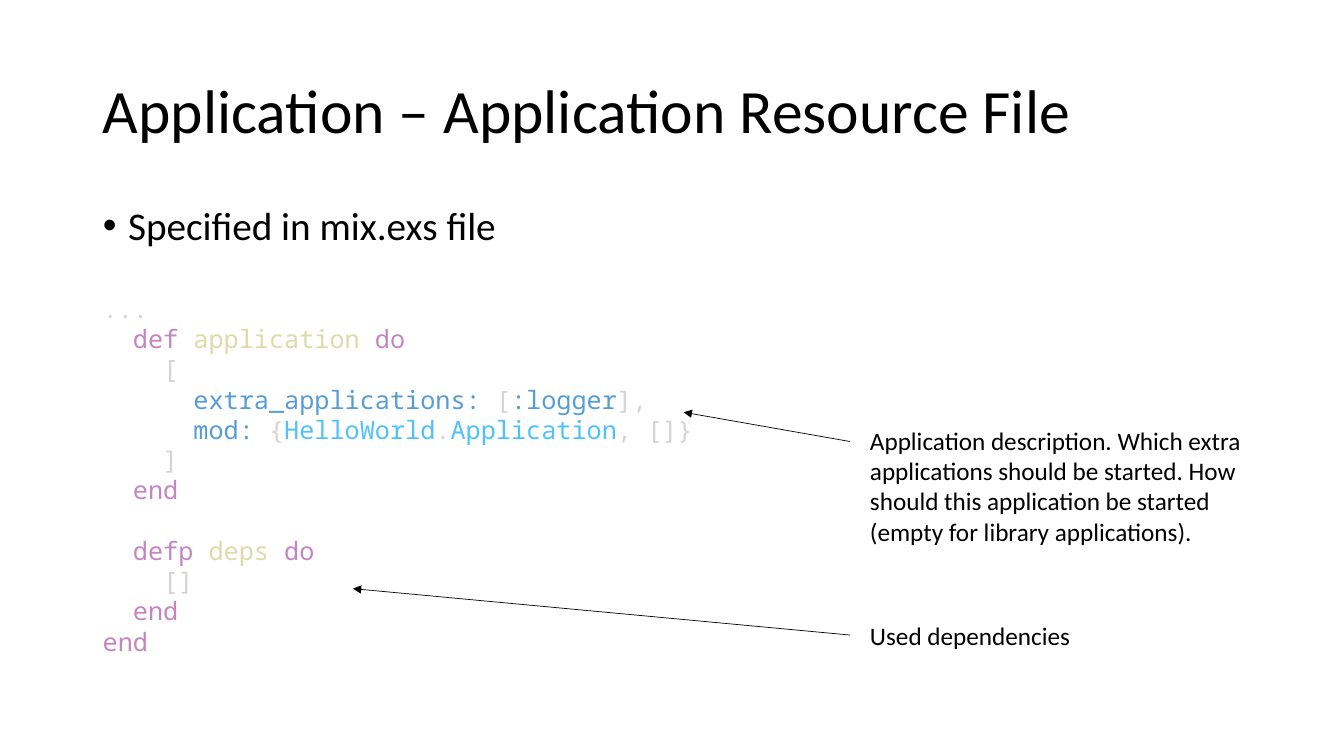
from dataclasses import dataclass

from lxml import etree
from pptx import Presentation
from pptx.dml.color import RGBColor
from pptx.enum.shapes import MSO_CONNECTOR
from pptx.enum.text import MSO_ANCHOR, MSO_AUTO_SIZE, PP_ALIGN
from pptx.oxml.ns import qn
from pptx.util import Inches, Pt

STRAIGHT = MSO_CONNECTOR.STRAIGHT
LEFT = PP_ALIGN.LEFT
TOP, MIDDLE = MSO_ANCHOR.TOP, MSO_ANCHOR.MIDDLE
NO_FIT, GROW = MSO_AUTO_SIZE.NONE, MSO_AUTO_SIZE.SHAPE_TO_FIT_TEXT


@dataclass(frozen=True)
class Theme:
    text_font: str = "Calibri"
    code_font: str = "Noto Sans Mono"
    title_size: float = 44
    body_size: float = 28
    small_size: float = 18
    code_line: float = 21.6
    line_width: float = 0.5
    black: str = "000000"
    plain: str = "D4D4D4"
    keyword: str = "C586C0"
    function: str = "DCDCAA"
    atom: str = "569CD6"
    module: str = "4FC1FF"


THEME = Theme()
INDENT = "  "  # a no-break space and a space
CODE_BOX = (0.92, 2.86, 7.89, 3.74)

# Each line: indent level, then (text, colour) pieces
DEFINE_END = (1, [("end", THEME.keyword)])
APPLICATION_CODE = [
    (0, [("...", THEME.plain)]),
    (1, [("def ", THEME.keyword), ("application ", THEME.function), ("do", THEME.keyword)]),
    (2, [("[", THEME.plain)]),
    (3, [("extra_applications:", THEME.atom), (" [", THEME.plain),
         (":logger", THEME.atom), ("],", THEME.plain)]),
    (3, [("mod:", THEME.atom), (" {", THEME.plain), ("HelloWorld", THEME.module),
         (".", THEME.plain), ("Application", THEME.module), (", []}", THEME.plain)]),
    (2, [("]", THEME.plain)]),
    DEFINE_END,
]
DEPENDENCY_CODE = [
    (1, [("defp ", THEME.keyword), ("deps ", THEME.function), ("do", THEME.keyword)]),
    (2, [("[]", THEME.plain)]),
    DEFINE_END,
    (0, [("end", THEME.keyword)]),
]

# Box of each note, its text, and the ends of its arrow
NOTES = [
    ((8.53, 4.17, 3.89, 1.31),
     "Application description. Which extra applications should be started. "
     "How should this application be started (empty for library applications).",
     (8.43, 4.38), (6.78, 4.09)),
    ((8.53, 6.1, 3.89, 0.4), "Used dependencies", (8.43, 6.3), (3.5, 5.84)),
]


def set_values(target, values):
    for name, value in values.items():
        setattr(target, name, value)


def add_run(paragraph, text, size, font=THEME.text_font, color=THEME.black):
    run = paragraph.add_run()
    run.text = text
    set_values(run.font, {"name": font, "size": Pt(size)})
    run.font.color.rgb = RGBColor.from_string(color)


def fill_placeholder(shape, box, text, size, anchor, spacing):
    places = dict(zip(("left", "top", "width", "height"), map(Inches, box)))
    set_values(shape, places)
    set_values(shape.text_frame, {"auto_size": NO_FIT, "vertical_anchor": anchor})
    paragraph = shape.text_frame.paragraphs[0]
    set_values(paragraph, {"alignment": LEFT, "line_spacing": 0.9, "space_before": Pt(spacing)})
    add_run(paragraph, text, size)
    return paragraph


def add_bullet(paragraph, indent):
    properties = paragraph._p.get_or_add_pPr()
    properties.set("marL", str(indent))
    properties.set("indent", str(-indent))
    etree.SubElement(properties, qn("a:buFont"), typeface="Arial")
    etree.SubElement(properties, qn("a:buChar"), char="•")


def add_text_box(slide, box):
    frame = slide.shapes.add_textbox(*map(Inches, box)).text_frame
    set_values(frame, {"word_wrap": True, "auto_size": GROW})
    return frame


def add_code(slide, box, blocks):
    frame = add_text_box(slide, box)
    paragraph = frame.paragraphs[0]
    for block_number, block in enumerate(blocks):
        for line_number, (level, pieces) in enumerate(block):
            if block_number or line_number:
                paragraph = frame.add_paragraph()
            paragraph.line_spacing = Pt(THEME.code_line)
            # A line break sets a later block apart
            if block_number and not line_number:
                paragraph.add_line_break()
            if level:
                pieces = [(INDENT * level, THEME.plain)] + pieces
            for text, color in pieces:
                add_run(paragraph, text, THEME.small_size, THEME.code_font, color)


def add_arrow(slide, start, end):
    arrow = slide.shapes.add_connector(STRAIGHT, *map(Inches, start + end))
    arrow.line.width = Pt(THEME.line_width)
    arrow.line.color.rgb = RGBColor.from_string(THEME.black)
    etree.SubElement(arrow.line._get_or_add_ln(), qn("a:tailEnd"), type="triangle")
    etree.SubElement(arrow._element.spPr, qn("a:effectLst"))


def add_note(slide, box, text, start, end):
    frame = add_text_box(slide, box)
    add_run(frame.paragraphs[0], text, THEME.small_size)
    add_arrow(slide, start, end)


def main():
    presentation = Presentation()
    set_values(presentation, {"slide_width": Inches(13.33), "slide_height": Inches(7.5)})
    slide = presentation.slides.add_slide(presentation.slide_layouts[1])

    # Title and bullet
    fill_placeholder(slide.shapes.title, (0.92, 0.4, 11.5, 1.45),
                     "Application – Application Resource File",
                     THEME.title_size, MIDDLE, 0)
    bullet = fill_placeholder(slide.placeholders[1], (0.92, 2, 11.5, 4.76),
                              "Specified in mix.exs file", THEME.body_size, TOP, 10)
    add_bullet(bullet, Inches(0.25))

    # Code listing and its notes
    add_code(slide, CODE_BOX, [APPLICATION_CODE, DEPENDENCY_CODE])
    for note in NOTES:
        add_note(slide, *note)

    presentation.save("out.pptx")


if __name__ == "__main__":
    main()
